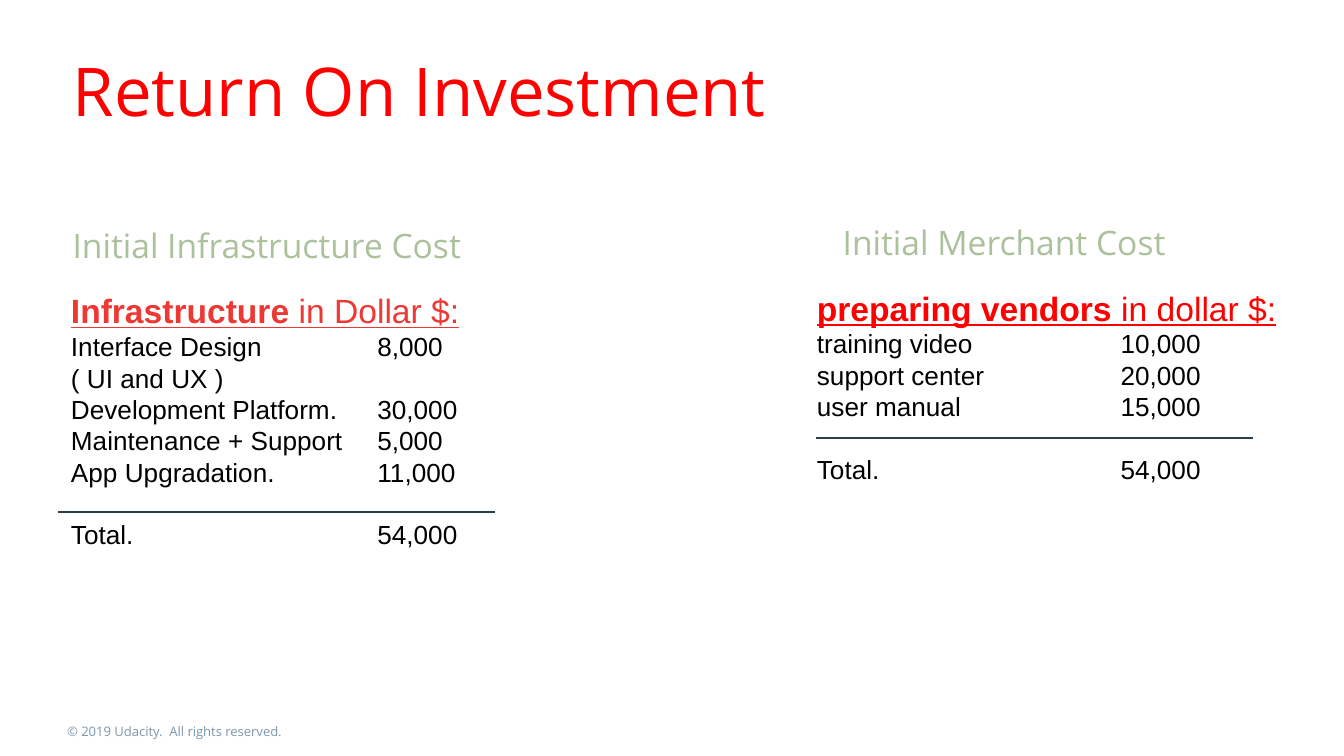
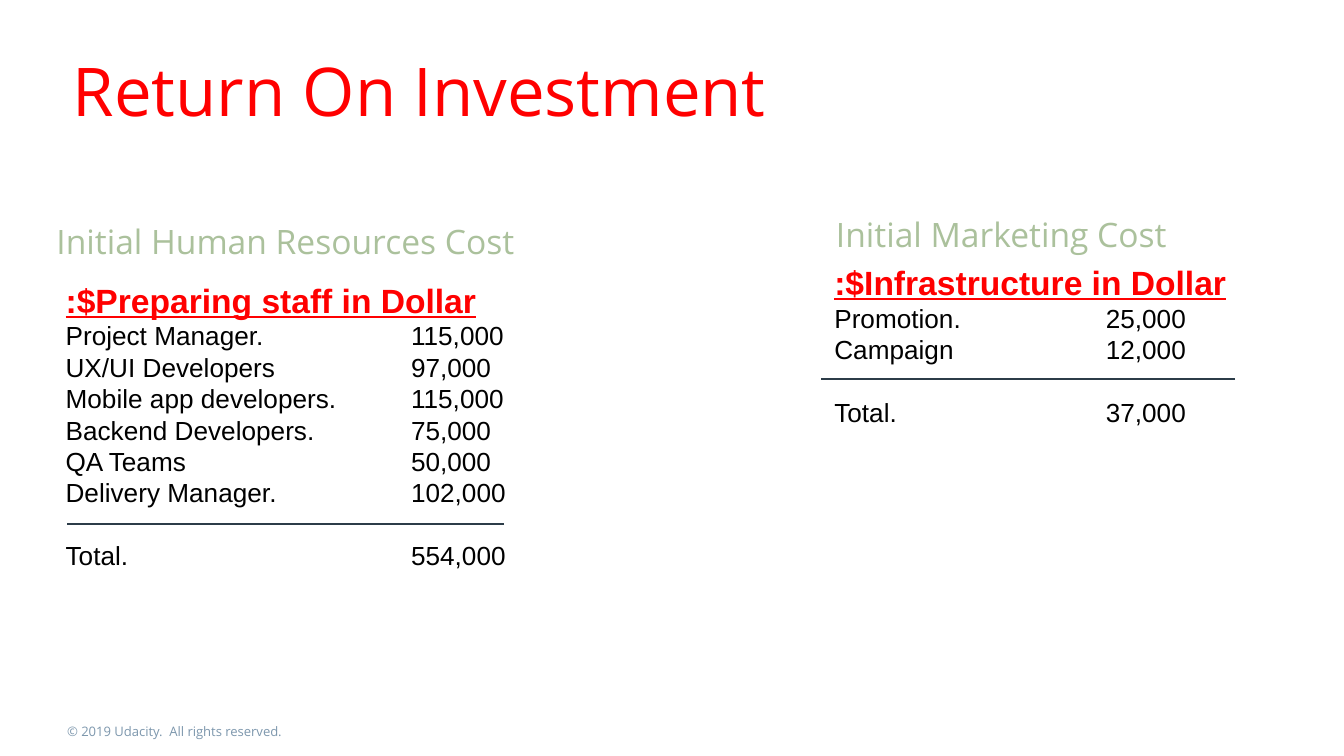
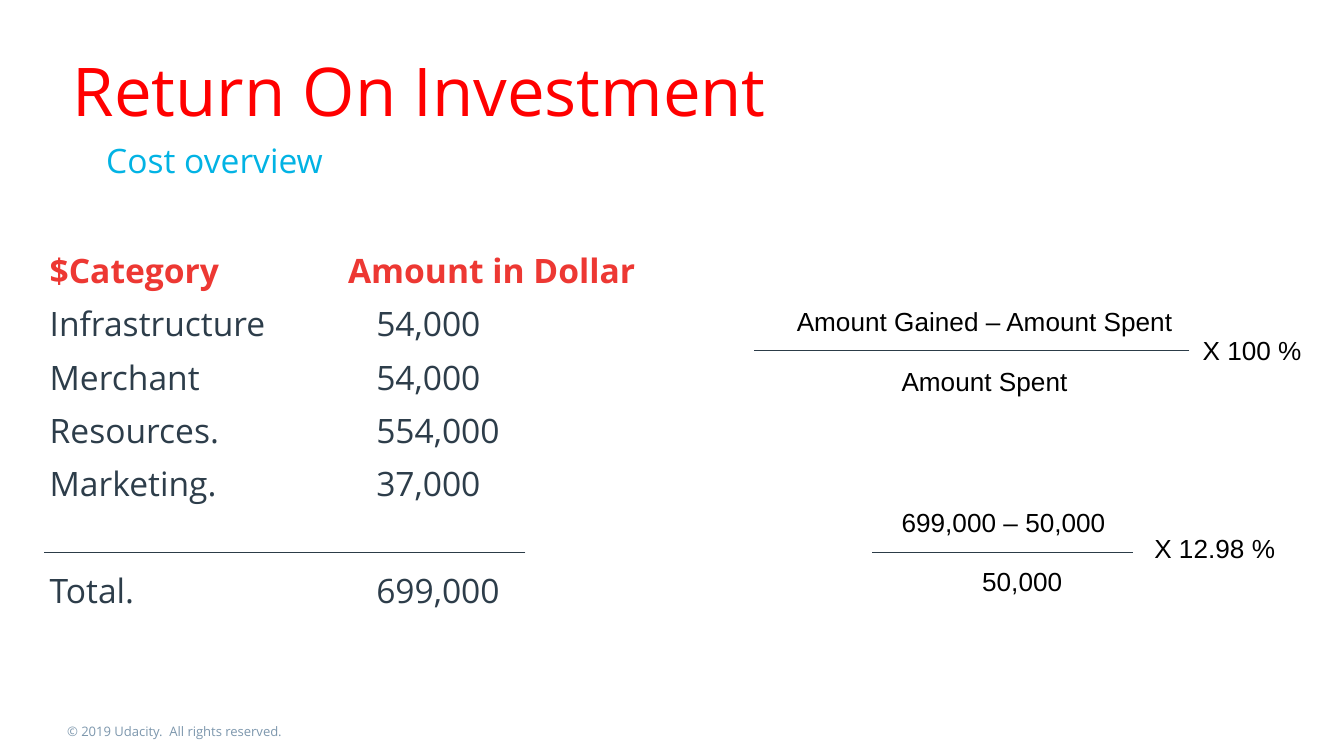
"""Build the three Return On Investment slides."""
from lxml import etree
from pptx import Presentation
from pptx.dml.color import RGBColor
from pptx.enum import shapes, text
from pptx.oxml import ns
from pptx.util import Inches, Pt

RED = RGBColor(0xFF, 0x00, 0x00)
CORAL = RGBColor(0xED, 0x38, 0x33)
SAGE = RGBColor(0xAB, 0xC1, 0x9C)
CYAN = RGBColor(0x02, 0xB3, 0xE4)
SLATE = RGBColor(0x2D, 0x3D, 0x4A)
RULE = RGBColor(0x2C, 0x3C, 0x48)
STEEL = RGBColor(0x7D, 0x97, 0xAD)
BLACK = RGBColor(0x00, 0x00, 0x00)

TITLE = "Return On Investment"
COPYRIGHT = "© 2019 Udacity.  All rights reserved."
ONE_BODY, TWO_BODIES = 1, 3

TITLE_FONT = dict(name="Open Sans", size=Pt(36), color=RED)
SUBHEAD_FONT = dict(name="Open Sans", size=Pt(18), color=SAGE)
OVERVIEW_FONT = dict(name="Open Sans", size=Pt(18), color=SLATE)
FOOTER_FONT = dict(name="Open Sans", size=Pt(7), color=STEEL)
COST_FONT = dict(name="Arial", size=Pt(14), color=BLACK)
HEADING_FONT = dict(name="Arial", size=Pt(18), underline=True)

COST_SLIDES = [
    [
        dict(subhead="Initial Infrastructure Cost", subhead_at=(0.25, 1.63),
             heading=("Infrastructure", " in Dollar $:"), color=CORAL,
             at=(0.43, 2.11, 3.77, 2.29), tab=2.28, rule=(0.43, 3.68, 3.81),
             rows=[("Interface Design", "8,000"), ("( UI and UX )",),
                   ("Development Platform.", "30,000"),
                   ("Maintenance + Support", "5,000"),
                   ("App Upgradation.", "11,000")],
             total="54,000"),
        dict(subhead="Initial Merchant Cost", subhead_at=(5.98, 1.61),
             heading=("preparing vendors ", "in dollar $:"), color=RED,
             at=(5.98, 2.09, 3.77, 1.82), tab=2.26, rule=(6.07, 9.32, 3.26),
             rows=[("training video", "10,000"), ("support center", "20,000"),
                   ("user manual", "15,000")],
             total="54,000"),
    ],
    [
        dict(subhead="Initial Human Resources Cost", subhead_at=(0.13, 1.6),
             heading=(":$Preparing staff in Dollar", ""), color=RED,
             at=(0.39, 2.03, 3.77, 2.29), tab=2.57, rule=(0.5, 3.75, 3.9),
             rows=[("Project Manager.", "115,000"),
                   ("UX/UI Developers", "97,000"),
                   ("Mobile app developers.", "115,000"),
                   ("Backend Developers.", "75,000"), ("QA Teams", "50,000"),
                   ("Delivery Manager.", "102,000")],
             total="554,000"),
        dict(subhead="Initial Marketing Cost", subhead_at=(5.93, 1.55),
             heading=(":$Infrastructure in Dollar", ""), color=RED,
             at=(6.11, 1.9, 3.77, 1.35), tab=2.02, rule=(6.11, 9.19, 2.82),
             rows=[("Promotion.", "25,000"), ("Campaign", "12,000")],
             total="37,000"),
    ],
]

OVERVIEW_HEAD = ("$Category", "Amount in Dollar")
OVERVIEW = [("Infrastructure", "54,000"), ("Merchant", "54,000"),
            ("Resources.", "554,000"), ("Marketing.", "37,000")]
OVERVIEW_TOTAL = ("Total.", "699,000")
OVERVIEW_RULE = (0.33, 3.91, 4.11)

FORMULA_TERMS = [
    ("Amount Gained – Amount Spent", (5.83, 2.22, 3.02, 0.34)),
    ("Amount Spent", (6.61, 2.67, 1.44, 0.34)),
    ("X 100 %", (8.85, 2.44, 0.94, 0.34)),
    ("699,000 – 50,000", (6.61, 3.72, 1.72, 0.34)),
    ("50,000", (7.21, 4.16, 0.8, 0.34)),
    ("X 12.98 %", (8.49, 3.91, 1.11, 0.34)),
]
FORMULA_RULES = [(5.61, 8.85, 2.61), (6.49, 8.43, 4.11)]


def prepare(holder, at, inset=(0.04, 0.04), wrap=True,
            anchor=text.MSO_ANCHOR.TOP):
    holder.left, holder.top, holder.width, holder.height = map(Inches, at)
    frame = holder.text_frame
    across, down = map(Inches, inset)
    settings = dict(margin_left=across, margin_right=across, margin_top=down,
                    margin_bottom=down, word_wrap=wrap, vertical_anchor=anchor,
                    auto_size=text.MSO_AUTO_SIZE.NONE)
    for key, value in settings.items():
        setattr(frame, key, value)
    return frame


def add_box(slide, at, **box):
    return prepare(slide.shapes.add_textbox(0, 0, 0, 0), at, **box)


def write(frame, runs, first=False, before=0, indent=None, tab=None):
    line = frame.paragraphs[0] if first else frame.add_paragraph()
    props = line._p.get_or_add_pPr()
    if indent:
        props.set("marL", str(Inches(indent[0])))
        props.set("indent", str(Inches(indent[1])))
        etree.SubElement(props, ns.qn("a:buNone"))
    if tab:
        stops = etree.SubElement(props, ns.qn("a:tabLst"))
        etree.SubElement(stops, ns.qn("a:tab"), pos=str(Inches(tab)), algn="l")
    line.alignment = text.PP_ALIGN.LEFT
    line.space_before, line.space_after = Pt(before), Pt(0)
    for words, style in runs:
        run = line.add_run()
        run.text = words
        for key, value in {"bold": False, **style}.items():
            if key == "color":
                run.font.color.rgb = value
            else:
                setattr(run.font, key, value)


def add_text(slide, words, at, style, **box):
    write(add_box(slide, at, **box), [(words, style)], first=True)


def add_rule(slide, left, right, y):
    rule = slide.shapes.add_connector(
        shapes.MSO_CONNECTOR.STRAIGHT,
        Inches(right), Inches(y), Inches(left), Inches(y))
    rule.line.color.rgb = RULE
    rule.line.width = Pt(0.75)
    etree.SubElement(rule._element.spPr, ns.qn("a:effectLst"))


def add_slide(deck, layout):
    slide = deck.slides.add_slide(deck.slide_layouts[layout])
    title = prepare(slide.shapes.title, (0.5, 0.33, 9, 0.65))
    write(title, [(TITLE, TITLE_FONT)], first=True)
    add_text(slide, COPYRIGHT, (0.5, 5.38, 4.33, 0.12), FOOTER_FONT,
             inset=(0, 0))
    return slide


def add_subhead(holder, words, at, color=SAGE):
    write(prepare(holder, at), [(words, {**SUBHEAD_FONT, "color": color})],
          first=True, indent=(0.5, -0.25))


def add_costs(slide, panel, subhead):
    add_subhead(subhead, panel["subhead"], (*panel["subhead_at"], 3.77, 0.34))
    costs = add_box(slide, panel["at"], inset=(0.1, 0.05))
    strong, plain = panel["heading"]
    heading = {**HEADING_FONT, "color": panel["color"]}
    runs = [(strong, {**heading, "bold": True}), (plain, heading)]
    write(costs, [run for run in runs if run[0]], first=True)
    for row in panel["rows"]:
        write(costs, [("\t".join(row), COST_FONT)], tab=panel["tab"])
    write(costs, [("Total.\t" + panel["total"], COST_FONT)], before=16.8,
          tab=panel["tab"])
    add_rule(slide, *panel["rule"])


def add_overview(slide):
    add_subhead(slide.placeholders[1], "Cost overview", (0.5, 1, 9, 0.34),
                CYAN)
    overview = add_box(slide, (0.33, 1.76, 4.9, 2.88),
                       anchor=text.MSO_ANCHOR.MIDDLE)
    head = {**OVERVIEW_FONT, "color": CORAL, "bold": True}
    write(overview, [("\t".join(OVERVIEW_HEAD), head)], first=True, tab=2.22)
    for row in OVERVIEW + [OVERVIEW_TOTAL]:
        write(overview, [("\t".join(row), OVERVIEW_FONT)], tab=2.43,
              before=35.7 if row == OVERVIEW_TOTAL else 7)
    for words, at in FORMULA_TERMS:
        add_text(slide, words, at, COST_FONT, inset=(0.1, 0.05), wrap=False)
    for rule in [OVERVIEW_RULE] + FORMULA_RULES:
        add_rule(slide, *rule)


def main():
    deck = Presentation()
    deck.slide_width, deck.slide_height = Inches(10), Pt(405)
    for panels in COST_SLIDES:
        slide = add_slide(deck, TWO_BODIES)
        subheads = list(slide.placeholders)[1:]
        for panel, subhead in zip(panels, subheads):
            add_costs(slide, panel, subhead)
    add_overview(add_slide(deck, ONE_BODY))
    deck.save("out.pptx")


if __name__ == "__main__":
    main()
